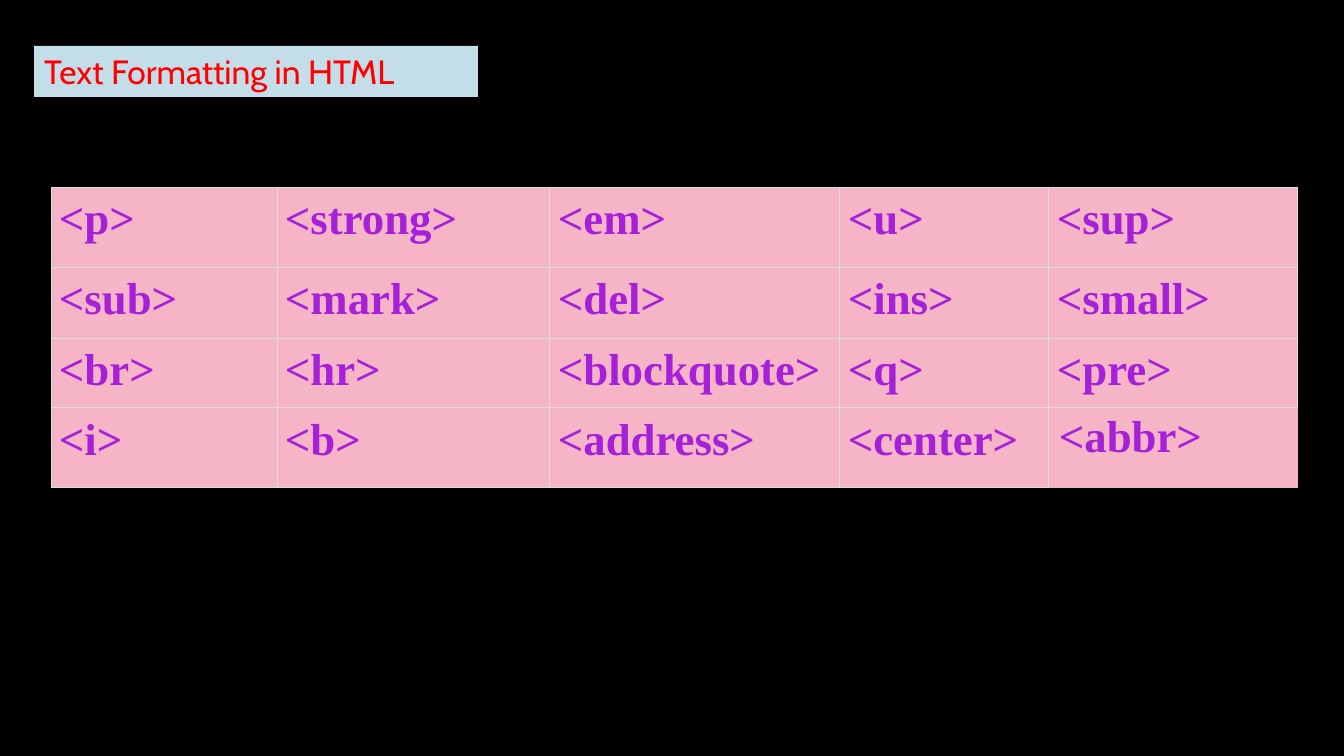
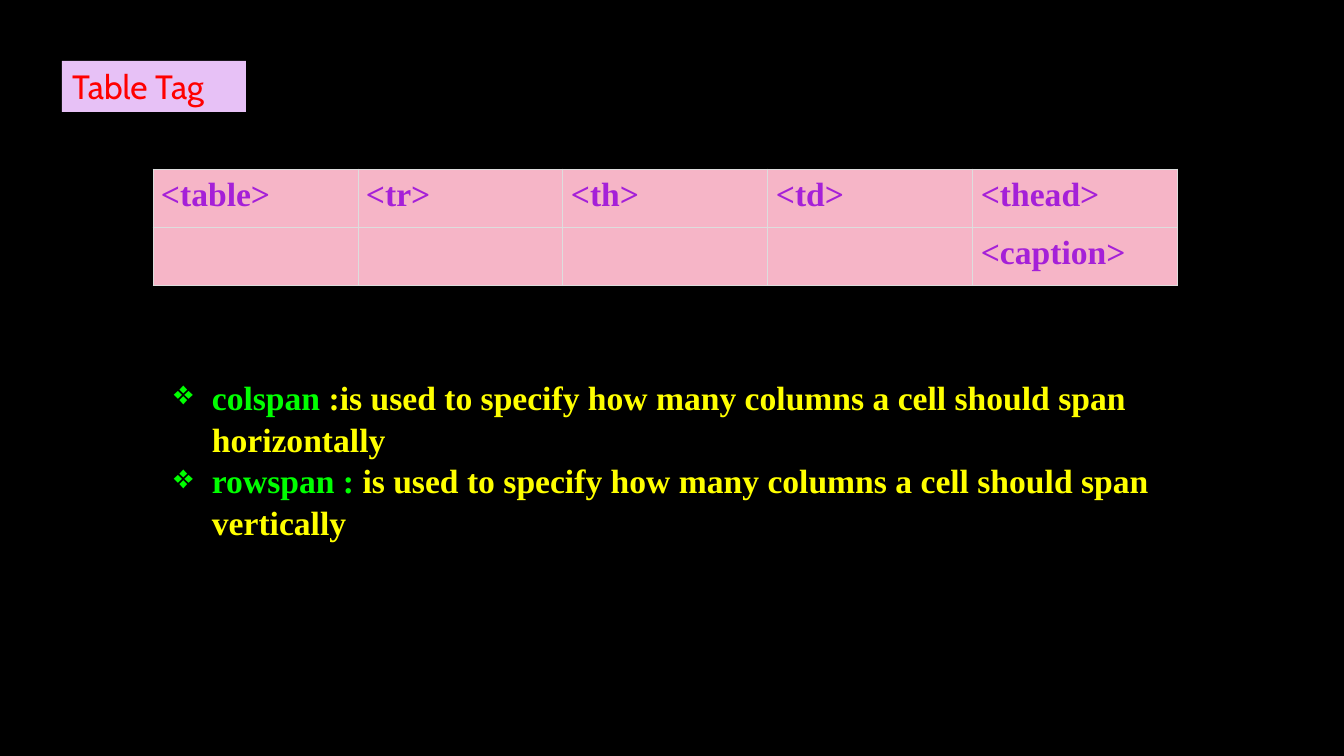
from dataclasses import dataclass

from lxml import etree
from pptx import Presentation
from pptx.dml.color import RGBColor
from pptx.enum.text import MSO_ANCHOR, MSO_AUTO_SIZE, PP_ALIGN
from pptx.oxml.ns import qn
from pptx.util import Emu, Pt

SLIDE_W, SLIDE_H = 1344, 756
EMU_PER_PX = 12192000 / SLIDE_W
TITLE_ONLY = 5
BULLET_INDENT = 38
ALL_SIDES = "LRTB"


@dataclass(frozen=True)
class Theme:
    background: str = "000000"
    title: str = "FF0000"
    title_blue: str = "C3DEE9"
    title_lilac: str = "E7C1F6"
    cell: str = "F6B5C7"
    border: str = "DDDDDD"
    tag: str = "A520D8"
    term: str = "00FF00"
    body: str = "FFFF00"
    title_font: str = "Cabin"
    body_font: str = "Times New Roman"
    size: int = 24
    large_size: int = 32
    border_pt: float = 0.75


THEME = Theme()

FORMATTING_TAGS = [
    ["<p>", "<strong>", "<em>", "<u>", "<sup>"],
    ["<sub>", "<mark>", "<del>", "<ins>", "<small>"],
    ["<br>", "<hr>", "<blockquote>", "<q>", "<pre>"],
    ["<i>", "<b>", "<address>", "<center>", "<abbr>"],
]
TABLE_TAGS = [
    ["<table>", "<tr>", "<th>", "<td>", "<thead>"],
    ["", "", "", "", "<caption>"],
]
SPAN_NOTES = [
    ("colspan ", ":is used to specify how many columns a cell should span horizontally"),
    ("rowspan : ", "is used to specify how many columns a cell should span vertically"),
]


def px(n):
    return Emu(round(n * EMU_PER_PX))


def set_attrs(obj, values):
    for name, value in values.items():
        setattr(obj, name, value)


def paint(fill, color):
    fill.solid()
    fill.fore_color.rgb = RGBColor.from_string(color)


def add_run(p, text, color, font=THEME.body_font, size=THEME.size, bold=True):
    r = p.add_run()
    r.text = text
    set_attrs(r.font, {"name": font, "size": Pt(size), "bold": bold})
    r.font.color.rgb = RGBColor.from_string(color)


def add_titled_slide(prs, text, box, fill):
    slide = prs.slides.add_slide(prs.slide_layouts[TITLE_ONLY])
    sp = slide.shapes.title
    set_attrs(sp, dict(zip(("left", "top", "width", "height"), map(px, box))))
    paint(sp.fill, fill)
    tf = sp.text_frame
    set_attrs(tf, {"word_wrap": True, "auto_size": MSO_AUTO_SIZE.NONE,
                   "vertical_anchor": MSO_ANCHOR.MIDDLE})
    p = tf.paragraphs[0]
    p.alignment = PP_ALIGN.LEFT
    add_run(p, text, THEME.title, THEME.title_font, bold=False)
    return slide


def set_borders(cell, visible=ALL_SIDES):
    """Draw the visible sides (of L, R, T, B) and blank the others."""
    props = cell._tc.get_or_add_tcPr()
    for i, side in enumerate(ALL_SIDES):
        line = etree.Element(qn(f"a:ln{side}"), w=str(Pt(THEME.border_pt)))
        if side in visible:
            fill = etree.SubElement(line, qn("a:solidFill"))
            etree.SubElement(fill, qn("a:srgbClr"), val=THEME.border)
        else:
            etree.SubElement(line, qn("a:noFill"))
        props.insert(i, line)


def add_tag_table(slide, left, top, widths, heights, rows, size, open_corner=False):
    """Add a grid of tags; open_corner drops the last cell's outer borders."""
    frame = slide.shapes.add_table(len(rows), len(widths), px(left), px(top),
                                   px(sum(widths)), px(sum(heights)))
    table = frame.table
    set_attrs(table, {"first_row": False, "horz_banding": False})
    for column, width in zip(table.columns, widths):
        column.width = px(width)
    for row, height in zip(table.rows, heights):
        row.height = px(height)
    last = (len(rows) - 1, len(widths) - 1)
    for y, tags in enumerate(rows):
        for x, tag in enumerate(tags):
            cell = table.cell(y, x)
            is_open = open_corner and (y, x) == last
            side, end = (10, 5) if is_open else (8, 8)
            set_attrs(cell, {"margin_left": px(side), "margin_right": px(side),
                             "margin_top": px(end), "margin_bottom": px(end)})
            paint(cell.fill, THEME.cell)
            set_borders(cell, "LT" if is_open else ALL_SIDES)
            if tag:
                add_run(cell.text_frame.paragraphs[0], tag, THEME.tag, size=size)


def add_bullet(p):
    props = p._p.get_or_add_pPr()
    props.set("marL", str(px(BULLET_INDENT)))
    props.set("indent", str(-px(BULLET_INDENT)))
    etree.SubElement(props, qn("a:buChar"), char="❖")


def add_notes_list(slide, box, notes):
    tf = slide.shapes.add_textbox(*map(px, box)).text_frame
    tf.word_wrap = True
    for i, (term, meaning) in enumerate(notes):
        p = tf.add_paragraph() if i else tf.paragraphs[0]
        p.line_spacing = 1.04
        add_bullet(p)
        add_run(p, term, THEME.term)
        add_run(p, meaning, THEME.body)


def main():
    prs = Presentation()
    set_attrs(prs, {"slide_width": px(SLIDE_W), "slide_height": px(SLIDE_H)})
    paint(prs.slide_master.background.fill, THEME.background)

    slide = add_titled_slide(prs, "Text Formatting in HTML", (34, 46, 444, 51),
                             THEME.title_blue)
    add_tag_table(slide, 51, 187, [226, 273, 290, 209, 249], [80, 71, 70, 80],
                  FORMATTING_TAGS, THEME.large_size, open_corner=True)

    slide = add_titled_slide(prs, "Table Tag", (62, 61, 184, 51), THEME.title_lilac)
    add_tag_table(slide, 153, 169, [205] * 5, [58] * 2, TABLE_TAGS, THEME.size)
    add_notes_list(slide, (164, 370, 1015, 173), SPAN_NOTES)

    prs.save("out.pptx")


if __name__ == "__main__":
    main()
